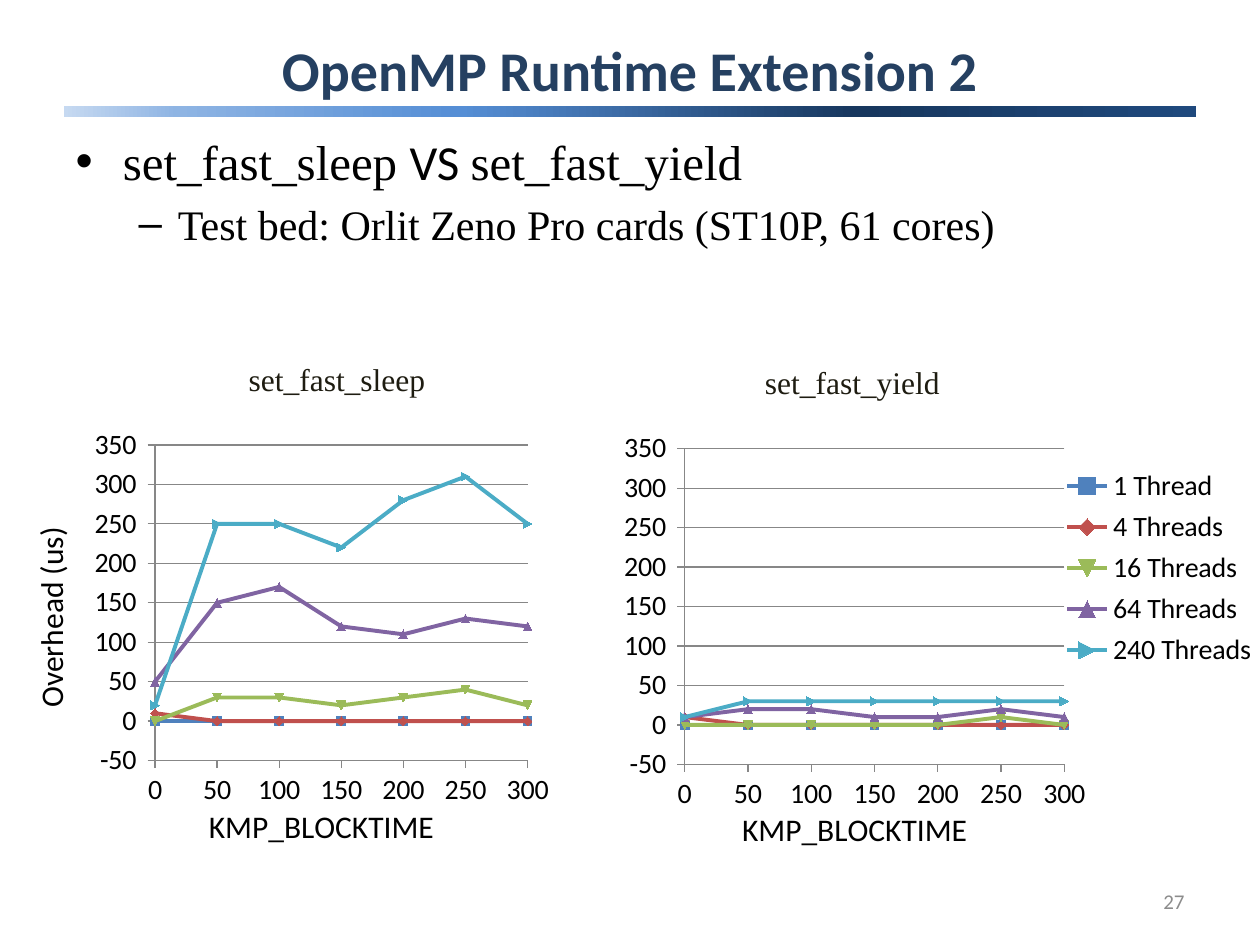
from lxml import etree
from pptx import Presentation, util as u
from pptx.chart.data import CategoryChartData
from pptx.dml.color import RGBColor
from pptx.enum import chart as ch, shapes, text
from pptx.oxml import parse_xml
from pptx.oxml.ns import nsdecls, qn

TITLE = "OpenMP Runtime Extension 2"
SERIF, SANS = "Times New Roman", "Calibri"
BULLETS = [
    (0, 28, [("set_fast_sleep ", SERIF), ("VS ", SANS), ("set_fast_yield", SERIF)]),
    (1, 24, [("Test bed: Orlit Zeno Pro cards (ST10P, 61 cores)", SERIF)]),
]
BAR_STOPS = [(0, "C6D9F1"), (10, "8EB4E3"), (35, "558ED5"), (70, "17375E"), (100, "1F497D")]
BLOCKTIMES = [str(time) for time in range(0, 301, 50)]
THREADS = [("1 Thread", "4F81BD"), ("4 Threads", "C0504D"), ("16 Threads", "9BBB59"),
           ("64 Threads", "8064A2"), ("240 Threads", "4BACC6")]
CHARTS = [
    dict(name="set_fast_sleep", caption=(1.61, 2.81), at=(0.17, 3.21),
         plot=(0.19, 0.09, 0.53, 0.7), value_title="Overhead (us)", legend=None,
         values=[(0, 0, 0, 0, 0, 0, 0), (10, 0, 0, 0, 0, 0, 0), (0, 30, 30, 20, 30, 40, 20),
                 (50, 150, 170, 120, 110, 130, 120), (20, 250, 250, 220, 280, 310, 250)]),
    dict(name="set_fast_yield", caption=(5.7, 2.83), at=(4.43, 3.24),
         plot=(0.18, 0.09, 0.54, 0.7), value_title=None, legend=(0.71, 0.12, 0.29, 0.47),
         values=[(0, 0, 0, 0, 0, 0, 0), (10, 0, 0, 0, 0, 0, 0), (0, 0, 0, 0, 0, 10, 0),
                 (10, 20, 20, 10, 10, 20, 10), (10, 30, 30, 30, 30, 30, 30)]),
]
CHART_SIZE = (5.58, 3.58)


def rgb(color):
    return RGBColor.from_string(color)


def inches(*lengths):
    return [u.Inches(length) for length in lengths]


def place(shape, *box):
    shape.left, shape.top, shape.width, shape.height = inches(*box)


def style(font, size, name=SANS, color="000000", bold=False):
    font.size, font.name, font.bold = u.Pt(size), name, bold
    font.color.rgb = rgb(color)


def add_label(page, words, box, align, size, name, color):
    label = page.shapes.add_textbox(*inches(*box))
    frame = label.text_frame
    frame.word_wrap = True
    para = frame.paragraphs[0]
    para.text, para.alignment = words, align
    style(para.runs[0].font, size, name, color)
    return frame


def add_bar(page):
    """Gradient rule, placed behind the title."""
    bar = page.shapes.add_shape(shapes.MSO_SHAPE.RECTANGLE, *inches(0.51, 0.84, 8.98, 0.09))
    bar.shadow.inherit = False
    bar.line.fill.background()
    bar.fill.gradient()
    bar.fill.gradient_angle = 0
    stops = bar._element.spPr.find(qn("a:gradFill")).find(qn("a:gsLst"))
    for stop in list(stops):
        stops.remove(stop)
    for share, color in BAR_STOPS:
        stop = etree.SubElement(stops, qn("a:gs"), pos=str(share * 1000))
        etree.SubElement(stop, qn("a:srgbClr"), val=color)
    page.shapes._spTree.insert(2, bar._element)


def fill_body(body):
    place(body, 0.5, 0.99, 9, 5.71)
    frame = body.text_frame
    for index, (level, size, spans) in enumerate(BULLETS):
        para = frame.add_paragraph() if index else frame.paragraphs[0]
        para.level = level
        if index == 0:
            para.space_before = u.Pt(0)
        for words, name in spans:
            span = para.add_run()
            span.text = words
            style(span.font, size, name)


def set_axis(axis, title):
    axis.major_tick_mark = ch.XL_TICK_MARK.OUTSIDE
    axis.minor_tick_mark = ch.XL_TICK_MARK.NONE
    axis.format.line.color.rgb = rgb("878787")
    axis.has_title = bool(title)
    if title:
        frame = axis.axis_title.text_frame
        frame.text = title
        style(frame.paragraphs[0].runs[0].font, 18)


def set_layout(parent, index, shares, target=""):
    """Fix a chart part at left, top, width, height, as shares of the chart."""
    for old in parent.findall(qn("c:layout")):
        parent.remove(old)
    edges = "".join(f'<c:{key} val="{value}"/>' for key, value in zip("xywh", shares))
    parent.insert(index, parse_xml(
        f'<c:layout {nsdecls("c")}><c:manualLayout>{target}'
        f'<c:xMode val="edge"/><c:yMode val="edge"/>{edges}</c:manualLayout></c:layout>'))


def set_plot_area(chart, plot):
    """Fix the inner plot area, start the lines on the axis and fill the chart white."""
    area = chart._chartSpace.chart.plotArea
    set_layout(area, 0, plot, '<c:layoutTarget val="inner"/>')
    axis = area.find(qn("c:valAx"))
    for old in axis.findall(qn("c:crossBetween")):
        axis.remove(old)
    axis.find(qn("c:crosses")).addnext(
        parse_xml(f'<c:crossBetween {nsdecls("c")} val="midCat"/>'))
    chart._chartSpace.chart.addnext(parse_xml(
        f'<c:spPr {nsdecls("c", "a")}><a:solidFill><a:srgbClr val="FFFFFF"/></a:solidFill>'
        '<a:ln><a:noFill/></a:ln></c:spPr>'))


def add_overhead_chart(page, item):
    data = CategoryChartData()
    data.categories = BLOCKTIMES
    for (name, _), values in zip(THREADS, item["values"]):
        data.add_series(name, values)
    chart = page.shapes.add_chart(ch.XL_CHART_TYPE.LINE_MARKERS,
                                  *inches(*item["at"], *CHART_SIZE), data).chart
    style(chart.font, 16)
    chart.has_title = False
    chart.has_legend = bool(item["legend"])
    if item["legend"]:
        chart.legend.position = ch.XL_LEGEND_POSITION.RIGHT
        chart.legend.include_in_layout = False
        set_layout(chart.legend._element, 1, item["legend"])
    chart.plots[0].vary_by_categories = False
    for series, (_, color) in zip(chart.plots[0].series, THREADS):
        series.smooth = False
        series.format.line.width = u.Pt(2.25)
        series.format.line.color.rgb = rgb(color)
        series.marker.format.fill.solid()
        series.marker.format.fill.fore_color.rgb = rgb(color)
        series.marker.format.line.color.rgb = rgb(color)

    set_axis(chart.category_axis, "KMP_BLOCKTIME")
    chart.category_axis.tick_label_position = ch.XL_TICK_LABEL_POSITION.LOW
    axis = chart.value_axis
    set_axis(axis, item["value_title"])
    set_plot_area(chart, item["plot"])
    axis.minimum_scale, axis.maximum_scale, axis.major_unit = -50, 350, 50
    axis.crosses = ch.XL_AXIS_CROSSES.MINIMUM
    axis.tick_labels.number_format = "0_ "
    axis.tick_labels.number_format_is_linked = False
    axis.major_gridlines.format.line.color.rgb = rgb("878787")


def main():
    deck = Presentation()
    deck.slide_width, deck.slide_height = inches(10, 7.5)
    page = deck.slides.add_slide(deck.slide_layouts[1])
    title, body = page.placeholders
    add_bar(page)
    place(title, 0.5, 0.26, 9, 0.58)
    title.text_frame.text = TITLE
    style(title.text_frame.paragraphs[0].runs[0].font, 32, SANS, "254061", True)
    fill_body(body)
    for item in CHARTS:
        add_label(page, item["name"], (*item["caption"], 2.13, 0.4),
                  text.PP_ALIGN.CENTER, 18, SERIF, "1E1C11")
    for item in CHARTS:
        add_overhead_chart(page, item)
    number = add_label(page, "27", (7.17, 6.95, 2.33, 0.4),
                       text.PP_ALIGN.RIGHT, 12, SANS, "8C8C8C")
    number.vertical_anchor = text.MSO_ANCHOR.MIDDLE
    deck.save("out.pptx")


if __name__ == "__main__":
    main()
